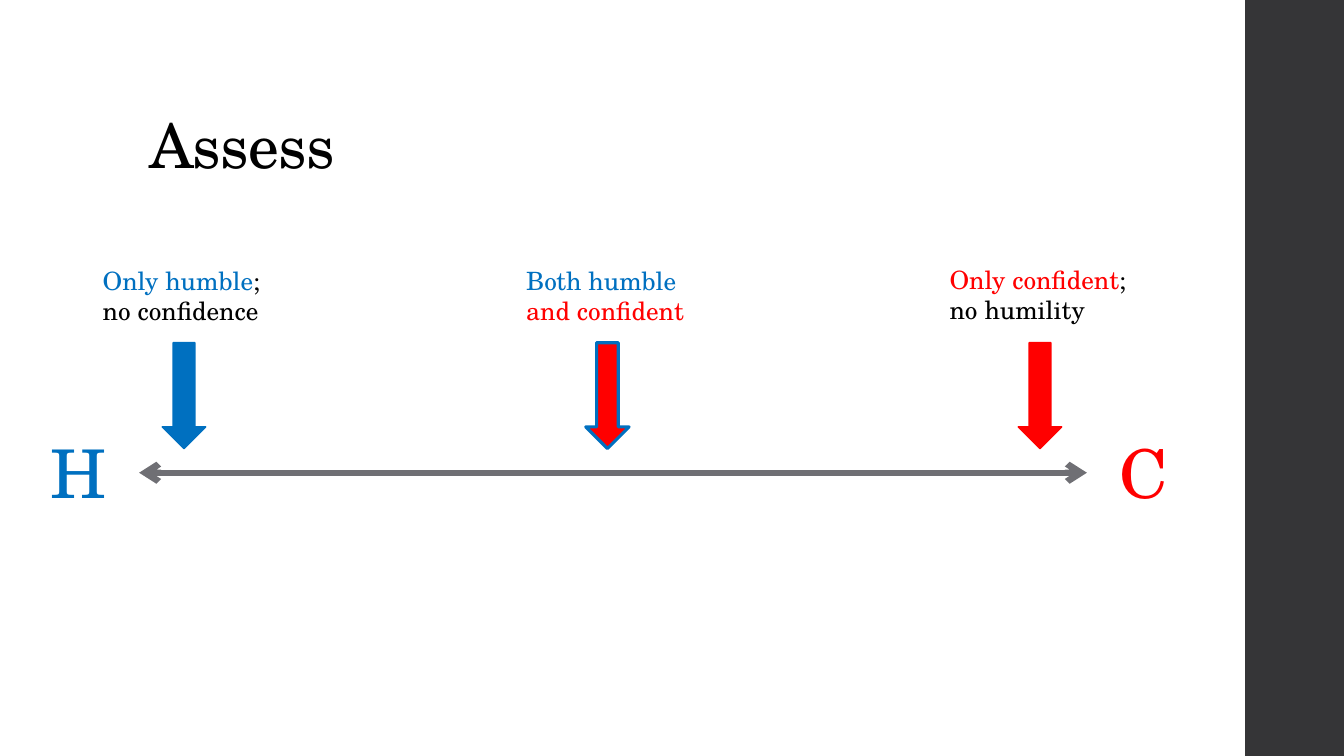
from lxml import etree
from pptx import Presentation
from pptx.dml.color import RGBColor
from pptx.enum.shapes import MSO_CONNECTOR as CONN, MSO_SHAPE as SHAPE
from pptx.enum.text import MSO_ANCHOR as ANCHOR, MSO_AUTO_SIZE as AUTO
from pptx.oxml.ns import qn
from pptx.util import Inches, Pt

COLORS = {"black": "000000", "humble": "0070C0", "confident": "FF0000",
          "axis": "6F6F74", "band": "353537", "white": "FFFFFF"}


def rgb(name):
    return RGBColor.from_string(COLORS[name])


class Deck:
    font = "TeX Gyre Schola"

    def __init__(self, prs):
        self.s = prs.slides.add_slide(prs.slide_layouts[6])
        fill = self.s.background.fill
        fill.solid()
        fill.fore_color.rgb = rgb("white")

    def shape(self, kind, box, fill, line=None, width=1.1):
        sp = self.s.shapes.add_shape(kind, *map(Inches, box))
        sp.shadow.inherit = False
        sp.fill.solid()
        sp.fill.fore_color.rgb = rgb(fill)
        if line:
            sp.line.color.rgb = rgb(line)
            sp.line.width = Pt(width)
        else:
            sp.line.fill.background()

    def text(self, box, runs, size, **frame):
        """Add one paragraph made of (text, colour) runs."""
        tf = self.s.shapes.add_textbox(*map(Inches, box)).text_frame
        for key, value in ({"word_wrap": True} | frame).items():
            setattr(tf, key, value)
        p = tf.paragraphs[0]
        for words, color in runs:
            r = p.add_run()
            r.text = words
            for key, value in {"name": self.font, "size": Pt(size)}.items():
                setattr(r.font, key, value)
            r.font.color.rgb = rgb(color)
        return p

    def double_arrow(self, x1, x2, y, color, width):
        c = self.s.shapes.add_connector(
            CONN.STRAIGHT, Inches(x1), Inches(y), Inches(x2), Inches(y))
        c.line.color.rgb = rgb(color)
        c.line.width = Pt(width)
        ln = c.line._get_or_add_ln()
        for end in ("a:headEnd", "a:tailEnd"):
            etree.SubElement(ln, qn(end), type="arrow")
        etree.SubElement(c._element.spPr, qn("a:effectLst"))


def main():
    prs = Presentation()
    prs.slide_width, prs.slide_height = Inches(13.33), Inches(7.5)
    deck = Deck(prs)

    deck.shape(SHAPE.RECTANGLE, (12.35, 0, 0.98, 7.5), "band")
    title = deck.text((1.38, 0.4, 10.6, 1.45), [("Assess", "black")], 44,
                      vertical_anchor=ANCHOR.BOTTOM)
    title.line_spacing = 0.9
    title.runs[0].font._element.set("spc", "-50")

    deck.double_arrow(1.38, 10.78, 4.69, "axis", 4.5)
    for letter, x, width, color in (("H", 0.4, 0.76, "humble"),
                                    ("C", 11, 0.69, "confident")):
        deck.text((x, 4.23, width, 0.91), [(letter, color)], 48,
                  word_wrap=False, auto_size=AUTO.SHAPE_TO_FIT_TEXT)

    # Label left, top and width; runs; arrow left, fill, line and line width
    positions = (
        ((0.92, 2.58, 1.8), [("Only humble", "humble"), ("; no confidence", "black")],
         1.61, "humble", "humble", 1.1),
        ((5.12, 2.58, 1.8), [("Both humble ", "humble"), ("and confident", "confident")],
         5.81, "confident", "humble", 2.25),
        ((9.32, 2.57, 1.99), [("Only confident", "confident"), ("; no humility", "black")],
         10.1, "confident", "confident", 1.1),
    )
    for label, runs, x, fill, line, width in positions:
        deck.shape(SHAPE.DOWN_ARROW, (x, 3.4, 0.43, 1.05), fill, line, width)
        deck.text((*label, 0.71), runs, 18, auto_size=AUTO.SHAPE_TO_FIT_TEXT)

    prs.save("out.pptx")


if __name__ == "__main__":
    main()
